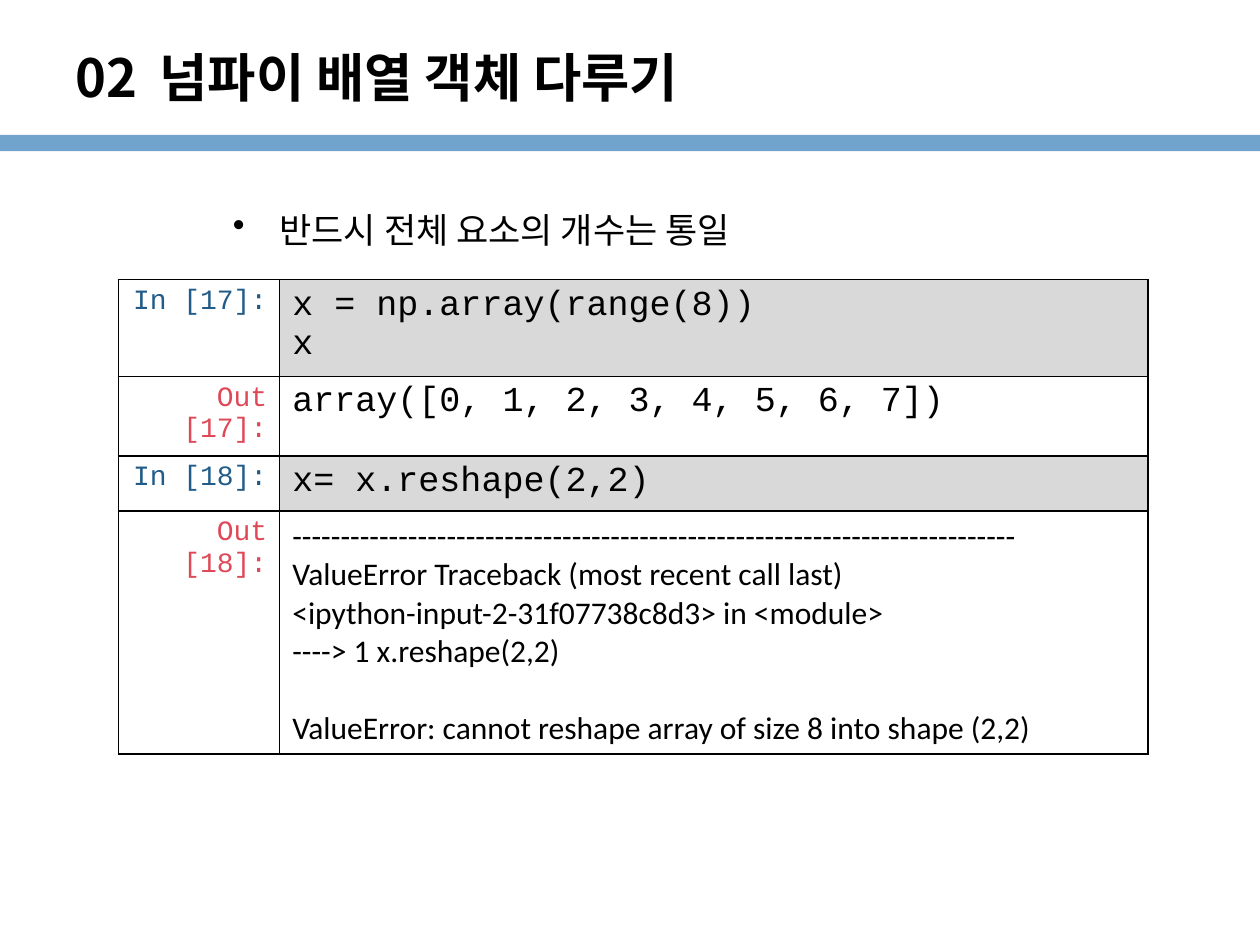
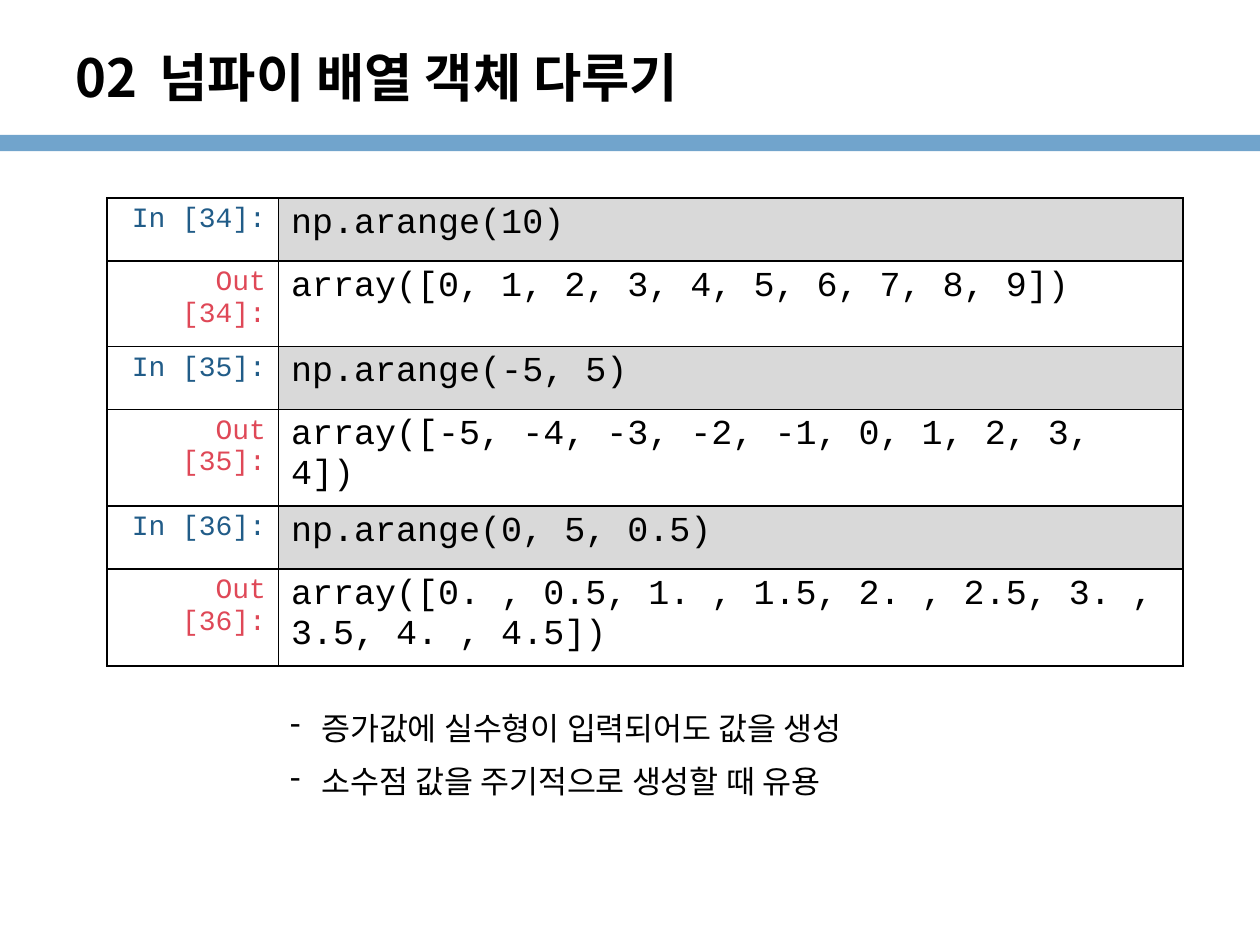
from pptx import Presentation
from pptx.dml.color import RGBColor
from pptx.enum.shapes import MSO_SHAPE
from pptx.enum.text import MSO_ANCHOR, PP_ALIGN
from pptx.oxml.ns import qn
from pptx.util import Inches, Pt
from lxml.etree import SubElement

KOREAN, PLAIN, CODE = "Noto Sans CJK KR", "Calibri", "Courier New"
BLACK, BAND, SHADE = "000000", "71A4CC", "D9D9D9"
LABEL_COLORS = {"In": "215C88", "Out": "DF4857"}


def color(hex_string):
    """Turn a hex string into a colour."""
    return RGBColor.from_string(hex_string)


class Deck:
    """Hold the shared style and the current slide."""

    def __init__(self):
        """Open a presentation of 10 by 7.5 inches."""
        self.deck = Presentation()
        self.deck.slide_width, self.deck.slide_height = Inches(10), Inches(7.5)

    def start(self):
        """Add a slide with the band and the section title."""
        self.slide = self.deck.slides.add_slide(self.deck.slide_layouts[6])
        band = self.slide.shapes.add_shape(
            MSO_SHAPE.RECTANGLE, 0, Inches(1.07), Inches(10), Inches(0.13))
        band.shadow.inherit = False
        band.fill.solid()
        band.fill.fore_color.rgb = color(BAND)
        band.line.fill.background()
        heading = self.frame(0.5, 0.3, 7.83, 0.62)
        heading.vertical_anchor = MSO_ANCHOR.MIDDLE
        title = heading.paragraphs[0]
        self.run(title, "02", 30, KOREAN, bold=True)
        gap = self.run(title, " ", 30, KOREAN, bold=True)
        gap.font._element.set("spc", "600")
        self.run(title, "넘파이 배열 객체 다루기", 30, KOREAN, bold=True)

    def frame(self, left, top, width, height):
        """Add a wrapping text box and return its frame."""
        box = self.slide.shapes.add_textbox(
            Inches(left), Inches(top), Inches(width), Inches(height))
        box.text_frame.word_wrap = True
        return box.text_frame

    def run(self, paragraph, text, size, font, ink=BLACK, bold=False):
        """Add one styled run."""
        run = paragraph.add_run()
        run.text = text
        run.font.size, run.font.bold = Pt(size), bold
        run.font.color.rgb = color(ink)
        run.font.name = font
        SubElement(run.font._element, qn("a:ea"), typeface=KOREAN)
        return run

    def paragraphs(self, frame, lines):
        """Yield one paragraph of the frame with each line."""
        for index, line in enumerate(lines):
            yield (frame.add_paragraph() if index else frame.paragraphs[0]), line

    def bullets(self, place, lines, mark, size, font, indent, hanging):
        """Add a list with hanging marks."""
        frame = self.frame(*place)
        for index, (paragraph, line) in enumerate(self.paragraphs(frame, lines)):
            paragraph.line_spacing = 1.25
            paragraph.space_before = Pt(3.8 if index else 0)
            properties = paragraph._p.get_or_add_pPr()
            properties.set("marL", str(Inches(indent)))
            properties.set("indent", str(-Inches(hanging)))
            SubElement(properties, qn("a:buChar"), char=mark)
            self.run(paragraph, line, size, font)

    def cell(self, cell, shaded):
        """Give a cell its borders and fill."""
        properties = cell._tc.get_or_add_tcPr()
        for side in "LRTB":
            border = SubElement(properties, qn(f"a:ln{side}"), w=str(Pt(1)))
            ink = SubElement(border, qn("a:solidFill"))
            SubElement(ink, qn("a:srgbClr"), val=BLACK)
        if shaded:
            cell.fill.solid()
            cell.fill.fore_color.rgb = color(SHADE)
        else:
            cell.fill.background()

    def notebook(self, left, top, widths, heights, entries):
        """Add a table of numbered inputs and outputs."""
        table = self.slide.shapes.add_table(
            len(entries), 2, Inches(left), Inches(top),
            Inches(sum(widths)), Inches(sum(heights))).table
        table.first_row = table.horz_banding = False
        for column, width in zip(table.columns, widths):
            column.width = Inches(width)
        for row, height, (kind, number, lines) in zip(table.rows, heights, entries):
            row.height = Inches(height)
            label, content = row.cells
            self.cell(label, False)
            self.cell(content, kind == "In")
            caption = label.text_frame.paragraphs[0]
            caption.alignment = PP_ALIGN.RIGHT
            self.run(caption, f"{kind} [{number}]:", 16, CODE, LABEL_COLORS[kind])
            is_error = len(lines) > 2
            size, font = (18, PLAIN) if is_error else (20, CODE)
            for paragraph, line in self.paragraphs(content.text_frame, lines):
                self.run(paragraph, line, size, font)
            if is_error:
                paragraph.space_before = Pt(22)


def main():
    """Build both slides and save them."""
    deck = Deck()

    deck.start()
    deck.bullets((0.5, 1.52, 9, 0.6), ["반드시 전체 요소의 개수는 통일"],
                 "•", 20, PLAIN, 1.62, 0.37)
    traceback = [
        "-" * 75,
        "ValueError Traceback (most recent call last)",
        "<ipython-input-2-31f07738c8d3> in <module>",
        "----> 1 x.reshape(2,2)",
        "ValueError: cannot reshape array of size 8 into shape (2,2)",
    ]
    deck.notebook(0.94, 2.22, [1.28, 6.89], [0.73, 0.6, 0.41, 1.93], [
        ("In", 17, ["x = np.array(range(8))", "x"]),
        ("Out", 17, ["array([0, 1, 2, 3, 4, 5, 6, 7])"]),
        ("In", 18, ["x= x.reshape(2,2)"]),
        ("Out", 18, traceback),
    ])

    deck.start()
    deck.notebook(0.85, 1.57, [1.36, 7.18], [0.5, 0.68] * 3, [
        ("In", 34, ["np.arange(10)"]),
        ("Out", 34, ["array([0, 1, 2, 3, 4, 5, 6, 7, 8, 9])"]),
        ("In", 35, ["np.arange(-5, 5)"]),
        ("Out", 35, ["array([-5, -4, -3, -2, -1, 0, 1, 2, 3, 4])"]),
        ("In", 36, ["np.arange(0, 5, 0.5)"]),
        ("Out", 36, ["array([0. , 0.5, 1. , 1.5, 2. , 2.5, 3. , 3.5, 4. , 4.5])"]),
    ])
    deck.bullets((0.7, 5.5, 7.7, 0.87),
                 ["증가값에 실수형이 입력되어도 값을 생성", "소수점 값을 주기적으로 생성할 때 유용"],
                 "‐", 18, KOREAN, 1.75, 0.25)

    deck.deck.save("out.pptx")


if __name__ == "__main__":
    main()
